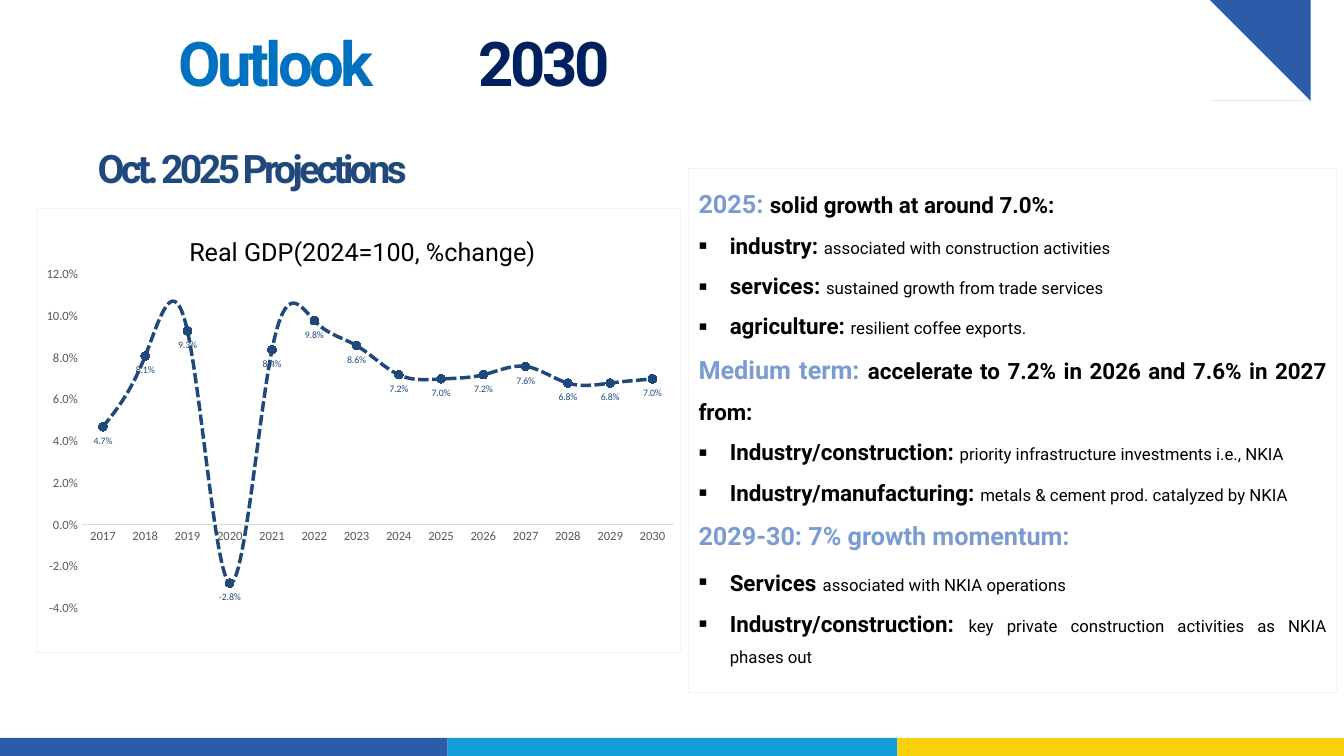
from dataclasses import dataclass

from lxml import etree
from pptx import Presentation
from pptx.chart.data import CategoryChartData
from pptx.dml.color import RGBColor
from pptx.enum.chart import XL_CHART_TYPE as ChartType
from pptx.enum.chart import XL_LABEL_POSITION as LabelPosition
from pptx.enum.chart import XL_MARKER_STYLE as MarkerStyle
from pptx.enum.chart import XL_TICK_MARK as TickMark
from pptx.enum.dml import MSO_LINE as Dash
from pptx.enum.shapes import MSO_SHAPE as Preset
from pptx.enum.text import MSO_ANCHOR as Anchor
from pptx.enum.text import PP_ALIGN as Align
from pptx.oxml import parse_xml
from pptx.oxml.ns import nsdecls, qn
from pptx.util import Inches, Pt


@dataclass(frozen=True)
class Theme:
    heading_font: str = "Roboto"
    chart_font: str = "Calibri"
    royal: str = "2C5CA9"
    sky: str = "149ED9"
    yellow: str = "F8D10A"
    title_blue: str = "0070C0"
    title_navy: str = "002060"
    navy: str = "1F497D"
    marker: str = "203864"
    lead: str = "7B9CD2"
    black: str = "000000"
    axis_text: str = "595959"
    axis_line: str = "D9D9D9"
    frame: str = "F2F2F2"
    title_size: int = 44
    subtitle_size: int = 28
    lead_size: int = 18
    strong_size: int = 16
    detail_size: int = 12
    axis_size: int = 9
    label_size: int = 7


theme = Theme()
rgb = RGBColor.from_string


def style_font(font, size, color, name=theme.heading_font, bold=False):
    font.size, font.name, font.bold = Pt(size), name, bold
    font.color.rgb = rgb(color)


def add_run(paragraph, text, size, color, bold=True, spacing=None):
    """Append a styled run; spacing is in hundredths of a point."""
    run = paragraph.add_run()
    run.text = text
    style_font(run.font, size, color, bold=bold)
    if spacing is not None:
        run.font._element.set("spc", str(spacing))


presentation = Presentation()
presentation.slide_width, presentation.slide_height = Inches(13.33), Inches(7.5)
slide = presentation.slides.add_slide(presentation.slide_layouts[6])
shapes = slide.shapes

# Corner tab with a curved left edge
curve = [(12.47, 0.43), (12.51, 0.53), (12.54, 0.63), (12.54, 0.74),
         (12.54, 0.86), (12.51, 0.96), (12.47, 1.07)]
builder = shapes.build_freeform(13.33, 0.43, scale=Inches(1))
builder.add_line_segments(curve + [(13.33, 1.07)], close=True)
corner_tab = builder.convert_to_shape()
corner_tab.shadow.inherit = False
corner_tab.fill.solid()
corner_tab.fill.fore_color.rgb = rgb(theme.royal)
corner_tab.line.fill.background()

# Footer stripe
edges = [0, 4.44, 8.9, 13.33]
for left, right, color in zip(edges, edges[1:], (theme.royal, theme.sky, theme.yellow)):
    bar = shapes.add_shape(Preset.RECTANGLE, Inches(left), Inches(7.32),
                           Inches(right - left), Inches(0.21))
    bar.shadow.inherit = False
    bar.fill.solid()
    bar.fill.fore_color.rgb = rgb(color)
    bar.line.fill.background()

# Title, with a tab stop before the year
title = shapes.add_textbox(Inches(1.22), Inches(0.23), Inches(10.94), Inches(0.77))
frame = title.text_frame
frame.word_wrap = True
frame.vertical_anchor = Anchor.MIDDLE
frame.margin_left = Inches(0.55)
frame.margin_top = frame.margin_right = frame.margin_bottom = 0
paragraph = frame.paragraphs[0]
tabs = etree.SubElement(paragraph._p.get_or_add_pPr(), qn("a:tabLst"))
etree.SubElement(tabs, qn("a:tab"), pos=str(Inches(2.98)), algn="l")
add_run(paragraph, "Outlook\t", theme.title_size, theme.title_blue, spacing=-260)
add_run(paragraph, "2030", theme.title_size, theme.title_navy, spacing=-260)

# Commentary panel: (is bullet, runs as (style, text))
run_styles = {
    "lead": (theme.lead_size, theme.lead, True),
    "strong": (theme.strong_size, theme.black, True),
    "detail": (theme.detail_size, theme.black, False),
}
commentary = [
    (False, [("lead", "2025: "), ("strong", "solid growth at around 7.0%:")]),
    (True, [("strong", "industry: "), ("detail", "associated with construction activities")]),
    (True, [("strong", "services: "), ("detail", "sustained growth from trade services")]),
    (True, [("strong", "agriculture: "), ("detail", "resilient coffee exports.")]),
    (False, [("lead", "Medium term: "),
             ("strong", "accelerate to 7.2% in 2026 and 7.6% in 2027 from:")]),
    (True, [("strong", "Industry/construction: "),
            ("detail", "priority infrastructure investments i.e., NKIA")]),
    (True, [("strong", "Industry/manufacturing: "),
            ("detail", "metals & cement prod. catalyzed by NKIA")]),
    (False, [("lead", "2029-30: 7% growth momentum:")]),
    (True, [("strong", "Services"), ("lead", " "),
            ("detail", "associated with NKIA operations")]),
    (True, [("strong", "Industry/construction: "),
            ("detail", "key private construction activities as NKIA phases out")]),
]
panel = shapes.add_shape(Preset.RECTANGLE, Inches(6.83), Inches(1.67),
                         Inches(6.43), Inches(5.2))
panel.shadow.inherit = False
panel.fill.background()
panel.line.color.rgb = rgb(theme.frame)
panel.line.width = Pt(0.75)
frame = panel.text_frame
frame.word_wrap = True
frame.vertical_anchor = Anchor.TOP
for index, (is_bullet, runs) in enumerate(commentary):
    paragraph = frame.add_paragraph() if index else frame.paragraphs[0]
    paragraph.alignment = Align.JUSTIFY
    paragraph.line_spacing = 1.5
    if is_bullet:
        properties = paragraph._p.get_or_add_pPr()
        properties.set("marL", str(Inches(0.31)))
        properties.set("indent", str(-Inches(0.31)))
        bullet_color = etree.SubElement(properties, qn("a:buClr"))
        etree.SubElement(bullet_color, qn("a:srgbClr"), val=theme.black)
        etree.SubElement(properties, qn("a:buFont"), typeface=theme.heading_font)
        etree.SubElement(properties, qn("a:buChar"), char="▪")
    for style, text in runs:
        size, color, bold = run_styles[style]
        add_run(paragraph, text, size, color, bold)

# GDP growth chart
chart_data = CategoryChartData(number_format="0.0%")
chart_data.categories = [str(year) for year in range(2017, 2031)]
chart_data.add_series("Real GDP", [
    0.047, 0.081, 0.093, -0.028, 0.084, 0.098, 0.086,
    0.072, 0.07, 0.072, 0.076, 0.068, 0.068, 0.07])
chart = shapes.add_chart(ChartType.LINE_MARKERS, Inches(0.36), Inches(2.06),
                         Inches(6.39), Inches(4.42), chart_data).chart
chart.has_legend = False
style_font(chart.font, 10, theme.black, theme.chart_font)
chart.has_title = True
title_paragraph = chart.chart_title.text_frame.paragraphs[0]
title_paragraph.text = "Real GDP(2024=100, %change)"
for font in (title_paragraph.font, title_paragraph.runs[0].font):
    style_font(font, theme.lead_size, theme.black)

category_axis, value_axis = chart.category_axis, chart.value_axis
for axis in (category_axis, value_axis):
    axis.major_tick_mark = axis.minor_tick_mark = TickMark.NONE
    axis.has_major_gridlines = False
    style_font(axis.tick_labels.font, theme.axis_size, theme.axis_text, theme.chart_font)
category_axis.format.line.color.rgb = rgb(theme.axis_line)
category_axis.format.line.width = Pt(0.75)
value_axis.format.line.fill.background()
value_axis.minimum_scale, value_axis.maximum_scale = -0.04, 0.12
value_axis.major_unit = 0.02
value_axis.tick_labels.number_format = "0.0%"
value_axis.tick_labels.number_format_is_linked = False

plot = chart.plots[0]
plot.vary_by_categories = False
growth = plot.series[0]
growth.smooth = True
growth.format.line.color.rgb = rgb(theme.navy)
growth.format.line.width = Pt(2.5)
growth.format.line.dash_style = Dash.SQUARE_DOT
growth.marker.style, growth.marker.size = MarkerStyle.CIRCLE, 6
growth.marker.format.fill.solid()
growth.marker.format.fill.fore_color.rgb = rgb(theme.marker)
growth.marker.format.line.color.rgb = rgb(theme.navy)
labels = growth.data_labels
labels.show_value, labels.position = True, LabelPosition.BELOW
labels.number_format, labels.number_format_is_linked = "0.0%", False
style_font(labels.font, theme.label_size, theme.navy, theme.chart_font)

# Fixed places for chart title and plot area, and the chart border
chart_space = chart._chartSpace
title_place = {"xMode": "edge", "yMode": "edge", "x": 0.23, "y": 0.05}
plot_place = {"layoutTarget": "inner", "xMode": "edge", "yMode": "edge",
              "x": 0.07, "y": 0.15, "w": 0.92, "h": 0.75}
for tag, place in (("c:title", title_place), ("c:plotArea", plot_place)):
    parent = chart_space.chart.find(qn(tag))
    for old_layout in parent.findall(qn("c:layout")):
        parent.remove(old_layout)
    layout = etree.Element(qn("c:layout"))
    manual = etree.SubElement(layout, qn("c:manualLayout"))
    for key, value in place.items():
        etree.SubElement(manual, qn(f"c:{key}"), val=str(value))
    parent.insert(1 if tag == "c:title" else 0, layout)
chart_space.chart.addnext(parse_xml(
    f'<c:spPr {nsdecls("c", "a")}><a:noFill/><a:ln w="{Pt(0.75)}"><a:solidFill>'
    f'<a:srgbClr val="{theme.frame}"/></a:solidFill></a:ln></c:spPr>'))

# Chart heading
heading = shapes.add_textbox(Inches(0.87), Inches(1.38), Inches(5.96), Inches(0.57))
heading.text_frame.word_wrap = True
add_run(heading.text_frame.paragraphs[0], "Oct. 2025 Projections",
        theme.subtitle_size, theme.navy, spacing=-260)

presentation.save("out.pptx")
